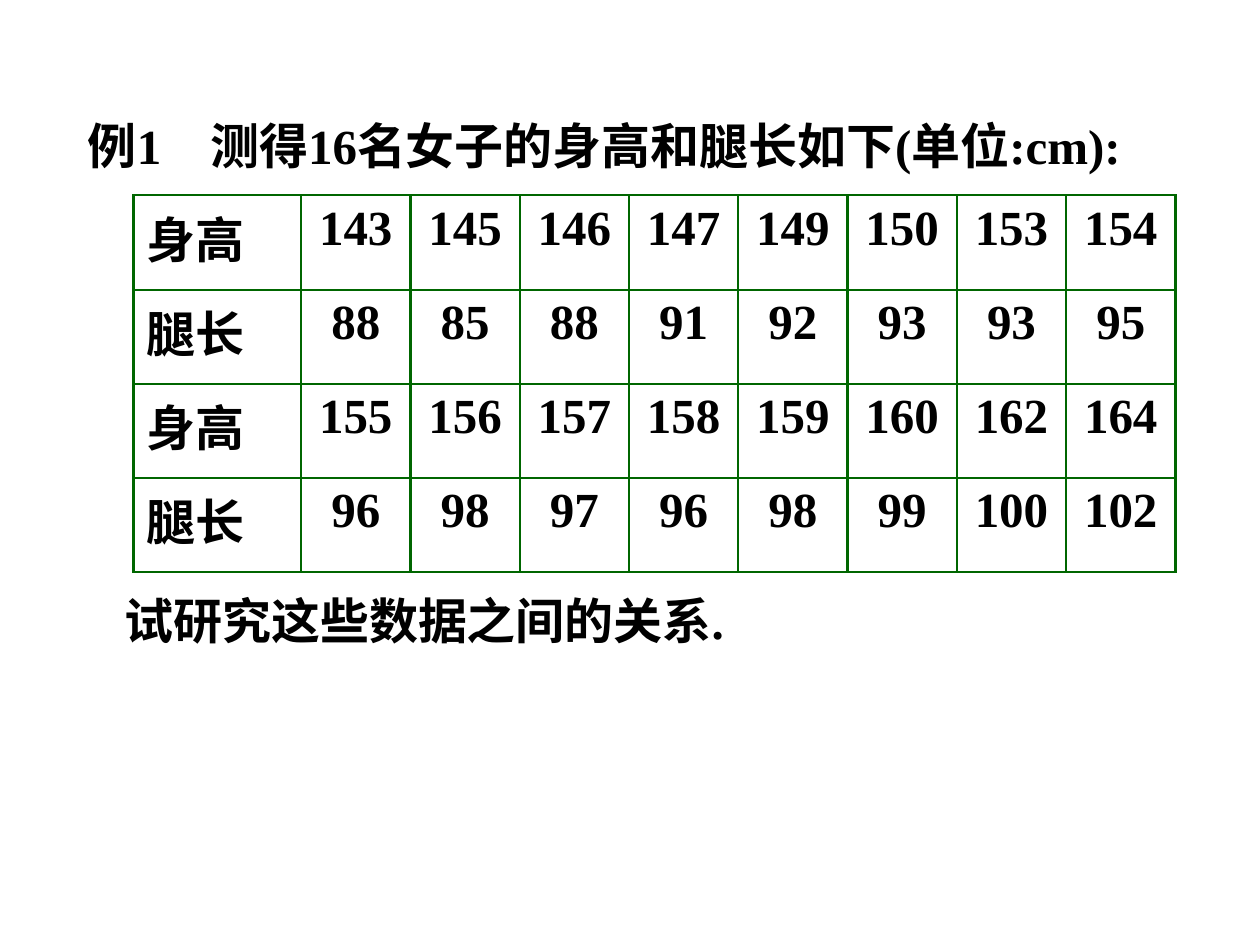
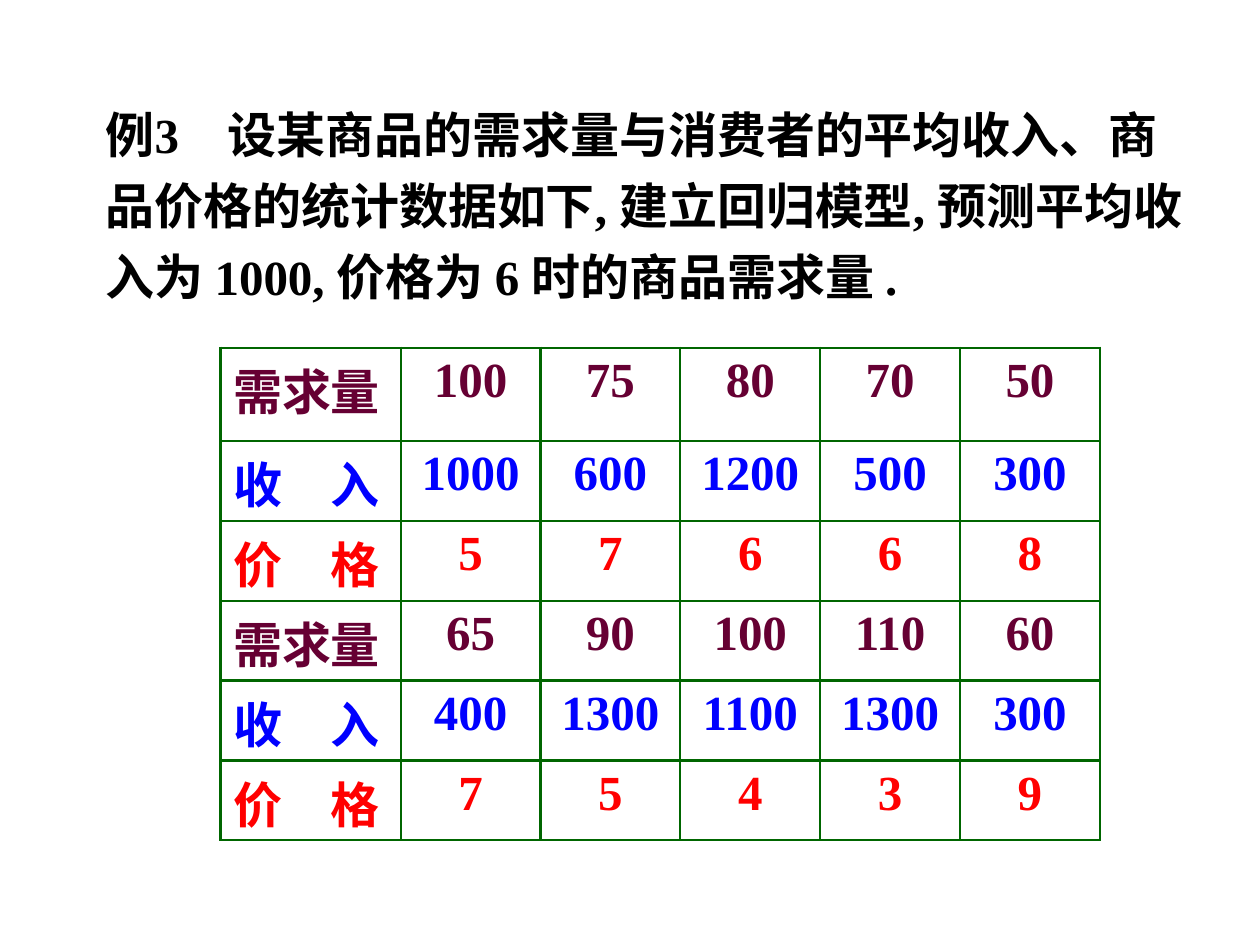
import pptx
import pptx.dml.color
import pptx.enum.text
import pptx.oxml.ns
import pptx.util
from lxml import etree
from pptx.dml.color import RGBColor
from pptx.util import Inches

BLACK = RGBColor(0x00, 0x00, 0x00)
GREEN = RGBColor(0x00, 0x66, 0x00)
MAROON = RGBColor(0x66, 0x00, 0x33)
BLUE = RGBColor(0x00, 0x00, 0xFF)
RED = RGBColor(0xFF, 0x00, 0x00)
FONT_NAME = "Times New Roman"
FONT_SIZE = pptx.util.Pt(28)
BORDER_WIDTH = pptx.util.Pt(1.47)

HEIGHTS_AND_LEGS = [
    ("身高", 143, 145, 146, 147, 149, 150, 153, 154),
    ("腿长", 88, 85, 88, 91, 92, 93, 93, 95),
    ("身高", 155, 156, 157, 158, 159, 160, 162, 164),
    ("腿长", 96, 98, 97, 96, 98, 99, 100, 102),
]
DEMAND_INCOME_PRICE = [
    ("需求量", 100, 75, 80, 70, 50),
    ("收　入", 1000, 600, 1200, 500, 300),
    ("价　格", 5, 7, 6, 6, 8),
    ("需求量", 65, 90, 100, 110, 60),
    ("收　入", 400, 1300, 1100, 1300, 300),
    ("价　格", 7, 5, 4, 3, 9),
]


def format_paragraph(paragraph, color):
    """Give every run of a paragraph the shared bold type."""
    for run in paragraph.runs:
        run.font.name = FONT_NAME
        run.font.size = FONT_SIZE
        run.font.bold = True
        run.font.color.rgb = color


def add_statement(slide, box, lines, line_spacing=None):
    """Add lines of problem text in a box wide enough for each."""
    shape = slide.shapes.add_textbox(*map(Inches, box))
    text_frame = shape.text_frame
    text_frame.word_wrap = True
    text_frame.auto_size = pptx.enum.text.MSO_AUTO_SIZE.SHAPE_TO_FIT_TEXT
    text_frame.text = "\n".join(lines)
    for paragraph in text_frame.paragraphs:
        paragraph.line_spacing = line_spacing
        format_paragraph(paragraph, BLACK)


def add_borders(cell):
    """Draw a green line on all four sides of a cell."""
    properties = cell._tc.get_or_add_tcPr()
    for side in ("a:lnL", "a:lnR", "a:lnT", "a:lnB"):
        line = etree.SubElement(properties, pptx.oxml.ns.qn(side), w=str(BORDER_WIDTH))
        fill = etree.SubElement(line, pptx.oxml.ns.qn("a:solidFill"))
        etree.SubElement(fill, pptx.oxml.ns.qn("a:srgbClr"), val=str(GREEN))


def add_data_table(slide, box, records, label_width, first_height, colors):
    """Add a bordered table whose row colours repeat in turn."""
    left, top, width, height = box
    row_count, column_count = len(records), len(records[0])
    frame = slide.shapes.add_table(row_count, column_count, *map(Inches, box))
    table = frame.table
    table.first_row = False
    table.horz_banding = False
    value_width = (width - label_width) / (column_count - 1)
    other_height = (height - first_height) / (row_count - 1)
    for index, column in enumerate(table.columns):
        column.width = Inches(value_width if index else label_width)
    for row_index, (row, record) in enumerate(zip(table.rows, records)):
        row.height = Inches(other_height if row_index else first_height)
        for column_index, (cell, value) in enumerate(zip(row.cells, record)):
            add_borders(cell)
            cell.fill.background()
            cell.text_frame.text = str(value)
            paragraph = cell.text_frame.paragraphs[0]
            if column_index:
                paragraph.alignment = pptx.enum.text.PP_ALIGN.CENTER
            format_paragraph(paragraph, colors[row_index % len(colors)])


def build_height_slide(slide):
    """Pose the example on height and leg length."""
    add_data_table(slide, (1.06, 1.55, 8.27, 2.99), HEIGHTS_AND_LEGS, 1.33, 0.75, [BLACK])
    add_statement(slide, (0.6, 0.87, 9.2, 0.57),
                  ["例1　测得16名女子的身高和腿长如下(单位:cm):"])
    add_statement(slide, (0.89, 4.64, 5.2, 0.57), ["试研究这些数据之间的关系."])


def build_demand_slide(slide):
    """Pose the example on demand, income and price."""
    add_statement(slide, (0.74, 0.69, 9.2, 1.78), [
        "例3　设某商品的需求量与消费者的平均收入、商",
        "品价格的统计数据如下, 建立回归模型, 预测平均收",
        "入为 1000, 价格为 6 时的商品需求量 .",
    ], 1.2)
    add_data_table(slide, (1.75, 2.76, 6.98, 3.91), DEMAND_INCOME_PRICE, 1.43, 0.74,
                   [MAROON, BLUE, RED])


def main():
    """Build both slides and save the presentation."""
    presentation = pptx.Presentation()
    presentation.slide_width = Inches(10)
    presentation.slide_height = Inches(7.5)
    for build_slide in (build_height_slide, build_demand_slide):
        build_slide(presentation.slides.add_slide(presentation.slide_layouts[6]))
    presentation.save("out.pptx")


if __name__ == "__main__":
    main()
